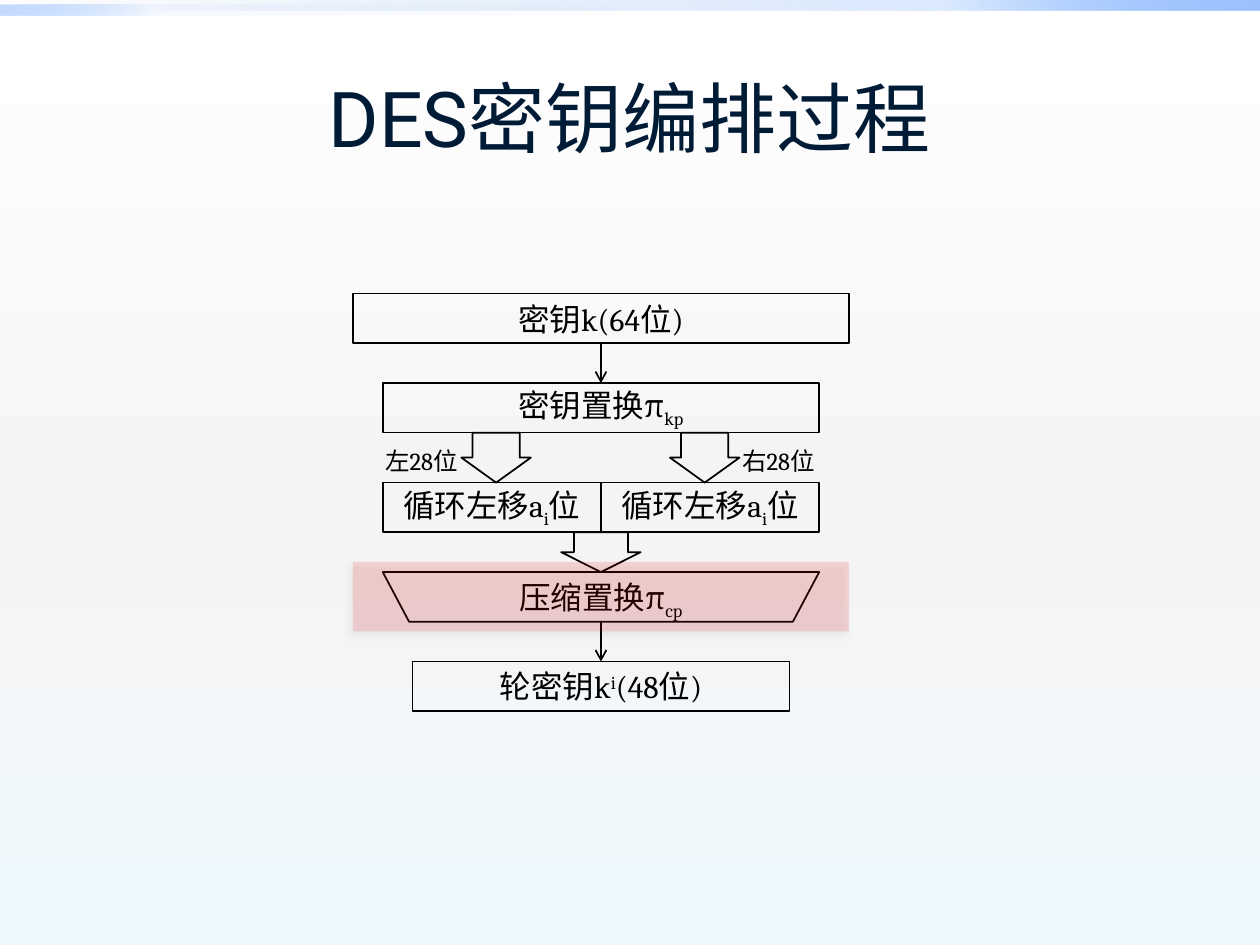
from lxml import etree
from pptx import Presentation
from pptx.dml.color import RGBColor
from pptx.enum import shapes, text
from pptx.oxml import ns
from pptx.util import Pt

MSO, PP, ANC = shapes.MSO_SHAPE, text.PP_ALIGN, text.MSO_ANCHOR
rgb = RGBColor.from_string
BLACK = "000000"
CX, BOX_H, WIDE = 343.4, 28.35, 249.4  # diagram axis, box height, main width
KEY_Y, PERM_Y, SHIFT_Y, COMP_Y, ROUND_Y = 167.8, 218.9, 275.8, 326.9, 378

prs = Presentation()
prs.slide_width, prs.slide_height = Pt(720), Pt(540)
s = prs.slides.add_slide(prs.slide_layouts[5])


def outline(geom, cx, y, w, h):
    """Unfilled black-edged shape, centred on cx."""
    sp = s.shapes.add_shape(geom, Pt(cx - w / 2), Pt(y), Pt(w), Pt(h))
    sp.shadow.inherit = False
    sp.fill.background()
    sp.line.color.rgb, sp.line.width = rgb(BLACK), Pt(1)
    return sp


def write(sp, runs, size=18, align=PP.CENTER, anchor=ANC.MIDDLE, left=0,
          font="Cambria", color=BLACK):
    """Fill a shape with one paragraph of (text, baseline percent) runs."""
    tf = sp.text_frame
    settings = {"word_wrap": True, "vertical_anchor": anchor,
                "margin_left": Pt(left), "margin_right": 0}
    for name, value in settings.items():
        setattr(tf, name, value)
    p = tf.paragraphs[0]
    p.alignment = align
    for words, base in runs:
        r = p.add_run()
        r.text = words
        for name, value in {"name": font, "size": Pt(size)}.items():
            setattr(r.font, name, value)
        r.font.color.rgb = rgb(color)
        if base:
            r.font._element.set("baseline", str(base * 1000))


# Background and top bands: stops are (position, colour, opacity)
bands = []
for x, y, w, h in [(0, 0, 720, 5.76), (0, 2.88, 360, 5.76)]:
    sp = s.shapes.add_shape(MSO.RECTANGLE, Pt(x), Pt(y), Pt(w), Pt(h))
    sp.shadow.inherit = False
    sp.line.fill.background()
    bands.append(sp)
gradients = [
    (s.background.fill, s.element, 90,
     [(0, "FFFFFF", 100), (55, "F4F4F4", 100), (100, "EEF9FF", 100)]),
    (bands[0].fill, bands[0].element, 315,
     [(0, "0058B7", 0), (75, "4F95FF", 20), (100, "9EC2FF", 100)]),
    (bands[1].fill, bands[1].element, 135,
     [(0, "0058B7", 0), (75, "4F95FF", 5), (100, "9EC2FF", 60)]),
]
for fill, element, angle, stops in gradients:
    fill.gradient()
    fill.gradient_angle = 360 - angle
    gs_list = next(element.iter(ns.qn("a:gsLst")))
    for gs in list(gs_list):
        gs_list.remove(gs)
    for pos, color, opacity in stops:
        gs = etree.SubElement(gs_list, ns.qn("a:gs"), pos=str(pos * 1000))
        clr = etree.SubElement(gs, ns.qn("a:srgbClr"), val=color)
        etree.SubElement(clr, ns.qn("a:alpha"), val=str(opacity * 1000))

# Title
title = s.shapes.title
title.left, title.top, title.width, title.height = Pt(36), Pt(21.6), Pt(648), Pt(90)
write(title, [("DES密钥编排过程", 0)], size=44, font="Roboto", color="001B36")

# Boxes
shift = [("循环左移a", 0), ("i", -25), ("位", 0)]
boxes = []
for cx, y, w, runs in [
    (CX, KEY_Y, 283.5, [("密钥k(64位)", 0)]),
    (CX, PERM_Y, WIDE, [("密钥置换π", 0), ("kp", -25)]),
    (CX - WIDE / 4, SHIFT_Y, WIDE / 2, shift),
    (CX + WIDE / 4, SHIFT_Y, WIDE / 2, shift),
    (CX, ROUND_Y, 215.4, [("轮密钥k", 0), ("i", 30), ("(48位)", 0)]),
]:
    sp = outline(MSO.RECTANGLE, cx, y, w, BOX_H)
    write(sp, runs)
    boxes.append(sp)

# Compression step: inverted trapezoid with upright text
trapezoid = outline(MSO.TRAPEZOID, CX, COMP_Y, WIDE, BOX_H)
trapezoid.rotation = 180
trapezoid.adjustments[0] = 0.53
sp = s.shapes.add_textbox(Pt(CX - 82), Pt(COMP_Y), Pt(164), Pt(29))
write(sp, [("压缩置换π", 0), ("cp", -25)], anchor=ANC.TOP)

# Block arrows
for cx, y, w, h in [
    (283.5, PERM_Y + BOX_H, 39.7, SHIFT_Y - PERM_Y - BOX_H),
    (402.7, PERM_Y + BOX_H, 39.7, SHIFT_Y - PERM_Y - BOX_H),
    (CX, SHIFT_Y + BOX_H, 45.4, COMP_Y - SHIFT_Y - BOX_H),
]:
    sp = outline(MSO.DOWN_ARROW, cx, y, w, h)
    sp.adjustments[0], sp.adjustments[1] = 0.68, 0.5

# Half labels
for x, label in [(213, "左28位"), (417, "右28位")]:
    sp = s.shapes.add_textbox(Pt(x), Pt(251.3), Pt(62.6), Pt(24.2))
    write(sp, [(label, 0)], size=14, align=PP.LEFT, anchor=ANC.TOP, left=7.2)

# Thin arrows
for start, y, end in [(boxes[0], KEY_Y, boxes[1]), (None, COMP_Y, boxes[4])]:
    line = s.shapes.add_connector(shapes.MSO_CONNECTOR.STRAIGHT,
                                  Pt(CX), Pt(y + BOX_H), Pt(CX), end.top)
    if start:
        line.begin_connect(start, 2)
    line.end_connect(end, 0)
    line.line.color.rgb, line.line.width = rgb(BLACK), Pt(1)
    etree.SubElement(line.line._get_or_add_ln(), ns.qn("a:tailEnd"), type="arrow")
    etree.SubElement(line.element.spPr, ns.qn("a:effectLst"))

# Translucent red highlight with a soft shadow
sp = s.shapes.add_shape(MSO.RECTANGLE, Pt(CX - 141.75), Pt(321.1), Pt(283.5), Pt(39.7))
sp.shadow.inherit = False
sp.line.fill.background()
sp.fill.solid()
sp.fill.fore_color.rgb = rgb("FF0000")
clr = next(sp.element.spPr.iter(ns.qn("a:srgbClr")))
etree.SubElement(clr, ns.qn("a:alpha"), val="13000")
effects = sp.element.spPr.find(ns.qn("a:effectLst"))
shadow = etree.SubElement(effects, ns.qn("a:outerShdw"), blurRad=str(Pt(4)),
                          dist=str(Pt(3)), dir=str(135 * 60000), rotWithShape="0")
clr = etree.SubElement(shadow, ns.qn("a:srgbClr"), val=BLACK)
etree.SubElement(clr, ns.qn("a:alpha"), val="40000")

prs.save("out.pptx")
